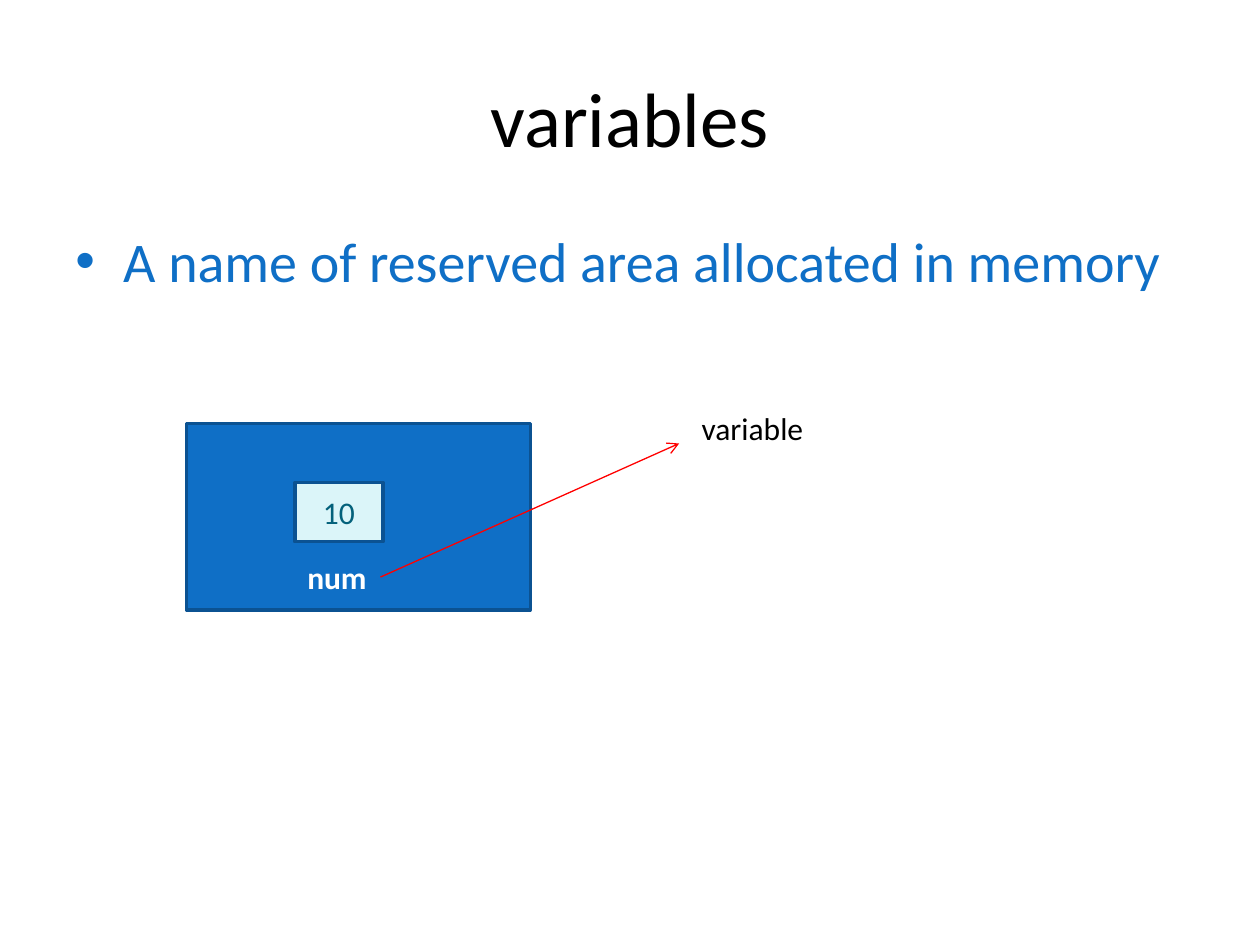
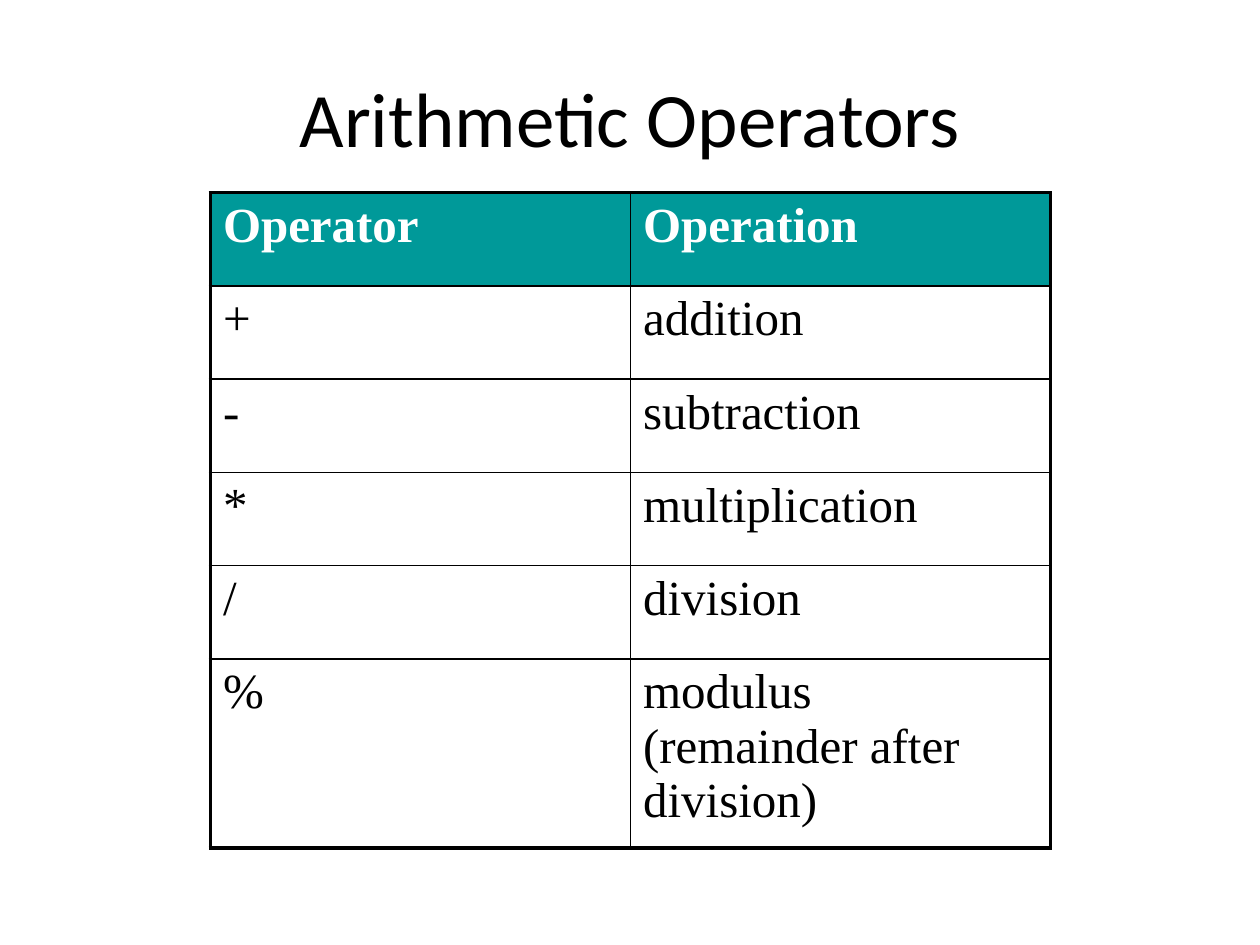
"""Builds two slides on variables and arithmetic operators."""
from dataclasses import dataclass

from lxml.etree import SubElement
from pptx import Presentation
from pptx.dml.color import RGBColor
from pptx.enum.shapes import MSO_CONNECTOR, MSO_SHAPE
from pptx.enum.text import MSO_ANCHOR, MSO_AUTO_SIZE, PP_ALIGN
from pptx.oxml.ns import qn
from pptx.util import Emu, Pt

PX = 9144


@dataclass(frozen=True)
class Theme:
    sans: str = "Calibri"
    serif: str = "Times New Roman"
    black: str = "000000"
    white: str = "FFFFFF"
    blue: str = "0F6FC6"
    outline: str = "0B5292"
    pale: str = "DBF5F9"
    ink: str = "04617B"
    red: str = "FF0000"
    teal: str = "009999"
    title_size: int = 44
    body_size: int = 32
    table_size: int = 28
    label_size: int = 18
    box_line: float = 2
    arrow_line: float = 0.75
    inner_line: float = 1
    outer_line: float = 2.25


def px(*lengths):
    return [Emu(length * PX) for length in lengths]


class SlideBuilder:
    def __init__(self, deck, theme):
        self.deck = deck
        self.theme = theme
        self.page = None

    def new_page(self, title):
        self.page = self.deck.slides.add_slide(self.deck.slide_layouts[6])
        frame = self.text_box((50, 30, 900, 125))
        frame.vertical_anchor = MSO_ANCHOR.MIDDLE
        self.set_text(frame, title, self.theme.title_size, self.theme.black,
                      align=PP_ALIGN.CENTER)

    def text_box(self, place):
        frame = self.page.shapes.add_textbox(*px(*place)).text_frame
        frame.word_wrap = True
        return frame

    def set_text(self, frame, text, size, color, font=None, bold=False,
                 align=PP_ALIGN.LEFT):
        frame.text = text
        para = frame.paragraphs[0]
        para.alignment = align
        for span in para.runs:
            span.font.name = font or self.theme.sans
            span.font.size = Pt(size)
            span.font.bold = bold
            span.font.color.rgb = RGBColor.from_string(color)
        return para

    def bullet(self, place, text):
        para = self.set_text(self.text_box(place), text, self.theme.body_size,
                             self.theme.blue)
        indent, = px(38)
        properties = para._p.get_or_add_pPr()
        properties.set("marL", str(indent))
        properties.set("indent", str(-indent))
        SubElement(properties, qn("a:buFont"), typeface="Arial")
        SubElement(properties, qn("a:buChar"), char="•")

    def label(self, place, text, color, bold=False):
        frame = self.text_box(place)
        frame.word_wrap = False
        frame.auto_size = MSO_AUTO_SIZE.SHAPE_TO_FIT_TEXT
        self.set_text(frame, text, self.theme.label_size, color, bold=bold)

    def rectangle(self, place, fill, text=""):
        box = self.page.shapes.add_shape(MSO_SHAPE.RECTANGLE, *px(*place))
        box.shadow.inherit = False
        box.fill.solid()
        box.fill.fore_color.rgb = RGBColor.from_string(fill)
        box.line.color.rgb = RGBColor.from_string(self.theme.outline)
        box.line.width = Pt(self.theme.box_line)
        if text:
            box.text_frame.vertical_anchor = MSO_ANCHOR.MIDDLE
            self.set_text(box.text_frame, text, self.theme.label_size,
                          self.theme.ink, align=PP_ALIGN.CENTER)

    def arrow(self, start, end):
        arrow = self.page.shapes.add_connector(
            MSO_CONNECTOR.STRAIGHT, *px(*start, *end))
        arrow.line.color.rgb = RGBColor.from_string(self.theme.red)
        arrow.line.width = Pt(self.theme.arrow_line)
        properties = arrow._element.spPr
        SubElement(properties.find(qn("a:ln")), qn("a:tailEnd"), type="arrow")
        SubElement(properties, qn("a:effectLst"))

    def cell_borders(self, cell, outer_sides):
        properties = cell._tc.get_or_add_tcPr()
        for side in "LRTB":
            width = (self.theme.outer_line if side in outer_sides
                     else self.theme.inner_line)
            line = SubElement(properties, qn(f"a:ln{side}"), w=str(Pt(width)))
            fill = SubElement(line, qn("a:solidFill"))
            SubElement(fill, qn("a:srgbClr"), val=self.theme.black)

    def table(self, place, rows, heights):
        last_row, last_column = len(rows) - 1, len(rows[0]) - 1
        table = self.page.shapes.add_table(
            len(rows), len(rows[0]), *px(*place)).table
        table.first_row = table.horz_banding = False
        for row, height in zip(table.rows, px(*heights)):
            row.height = height
        for r, values in enumerate(rows):
            for c, text in enumerate(values):
                cell = table.cell(r, c)
                edges = {"L": c == 0, "R": c == last_column,
                         "T": r == 0, "B": r == last_row}
                self.cell_borders(cell, [side for side in edges if edges[side]])
                header = r == 0
                if header:
                    cell.fill.solid()
                    cell.fill.fore_color.rgb = RGBColor.from_string(
                        self.theme.teal)
                else:
                    cell.fill.background()
                self.set_text(cell.text_frame, text, self.theme.table_size,
                              self.theme.white if header else self.theme.black,
                              font=self.theme.serif, bold=header)


def variables_page(builder):
    theme = builder.theme
    builder.new_page("variables")
    builder.bullet((50, 175, 900, 495),
                   "A name of reserved area allocated in memory")
    builder.rectangle((148, 336, 273, 148), theme.blue)
    builder.rectangle((234, 383, 70, 47), theme.pale, "10")
    builder.label((234, 438, 68, 40), "num", theme.white, bold=True)
    builder.arrow((302, 458), (539, 352))
    builder.label((547, 320, 102, 40), "variable", theme.black)


def operators_page(builder):
    rows = [
        ("Operator", "Operation"),
        ("+", "addition"),
        ("-", "subtraction"),
        ("*", "multiplication"),
        ("/", "division"),
        ("%", "modulus (remainder after division)"),
    ]
    builder.new_page("Arithmetic Operators")
    builder.table((167, 153, 667, 520), rows, [74] * 5 + [150])


def main():
    deck = Presentation()
    deck.slide_width, deck.slide_height = px(1000, 750)
    builder = SlideBuilder(deck, Theme())
    variables_page(builder)
    operators_page(builder)
    deck.save("out.pptx")


if __name__ == "__main__":
    main()
